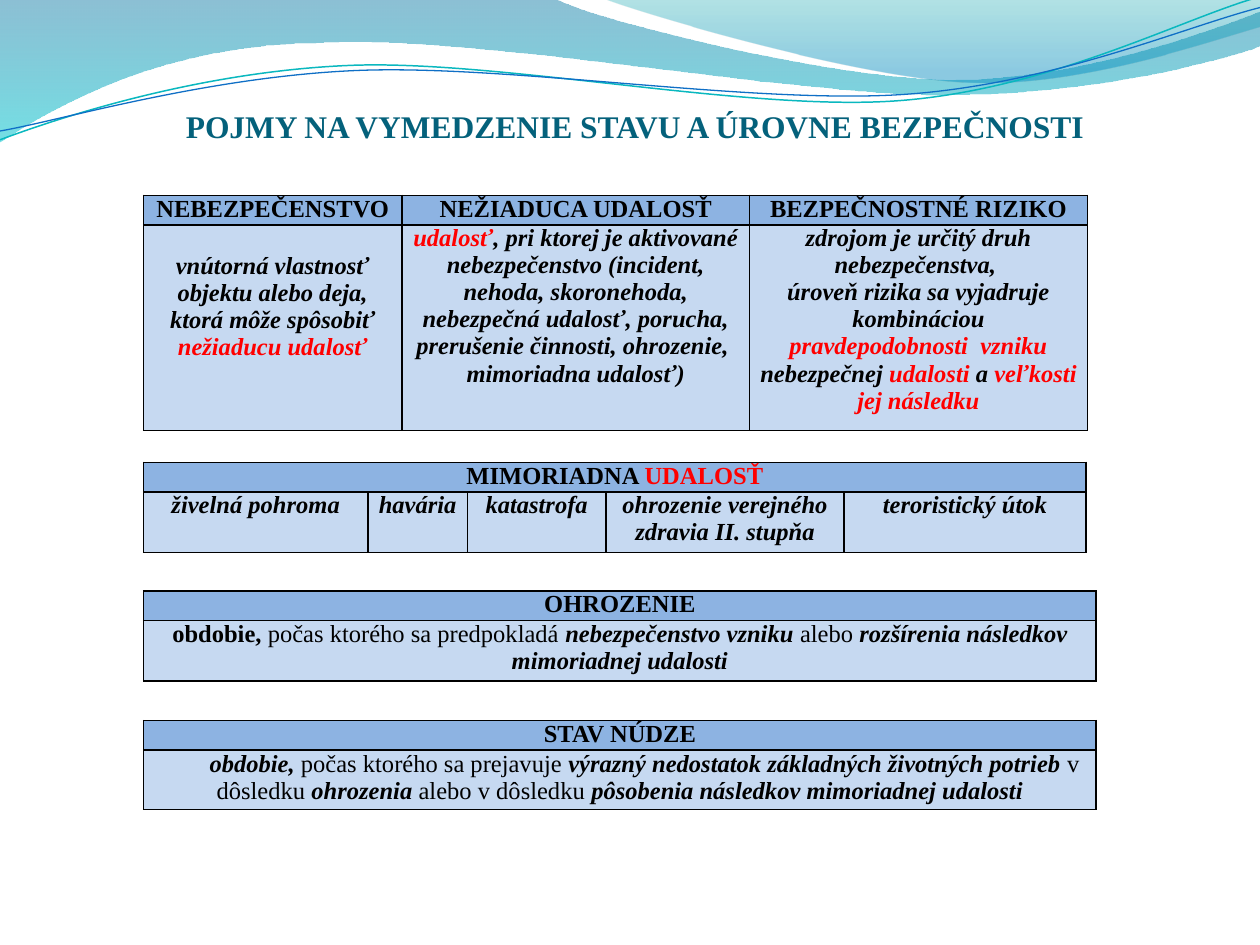
from lxml import etree
from pptx import Presentation
from pptx.dml.color import RGBColor
from pptx.enum.text import MSO_ANCHOR, PP_ALIGN
from pptx.oxml import parse_xml
from pptx.oxml.ns import nsdecls, qn
from pptx.util import Inches, Pt

FONT = "Times New Roman"
BLACK, RED, TITLE_COLOR = "000000", "FF0000", "04617B"
HEADER_FILL, BODY_FILL = "8DB3E2", "C6D9F1"
LEFT = 1.14

TITLE = "POJMY NA VYMEDZENIE STAVU A ÚROVNE BEZPEČNOSTI"

# A cell is a list of paragraphs, a paragraph a list of (text, style) runs.
# Style letters: b = bold, i = italic, r = red.
TABLES = [
    dict(top=1.55, cols=[2.05, 2.76, 2.68], heights=(0.23, 1.25), margin=0.07,
         first_cell_top=0.22,
         header=[[[("NEBEZPEČENSTVO", "b")]],
                 [[("NEŽIADUCA UDALOSŤ", "b")]],
                 [[("BEZPEČNOSTNÉ RIZIKO", "b")]]],
         body=[[[("vnútorná vlastnosť objektu alebo deja,", "bi")],
                [("ktorá môže spôsobiť", "bi")],
                [("nežiaducu udalosť", "bir")]],
               [[("udalosť", "bir"), (", pri ktorej je aktivované ", "bi")],
                [("nebezpečenstvo (incident, nehoda, skoronehoda, nebezpečná "
                  "udalosť, porucha, prerušenie činnosti, ohrozenie,  "
                  "mimoriadna udalosť)", "bi")]],
               [[("zdrojom je určitý druh nebezpečenstva, ", "bi")],
                [("úroveň rizika sa vyjadruje kombináciou", "bi")],
                [("pravdepodobnosti  vzniku ", "bir"), ("nebezpečnej ", "bi"),
                 ("udalosti ", "bir"), ("a ", "bi"),
                 ("veľkosti jej následku", "bir")]]]),
    dict(top=3.67, cols=[1.78, 0.79, 1.1, 1.89, 1.92], heights=(0.08, 0.48),
         margin=0.07,
         header=[[[("MIMORIADNA ", "b"), ("UDALOSŤ", "br")]]],
         body=[[[(event, "bi")]] for event in (
             "živelná pohroma", "havária", "katastrofa",
             "ohrozenie verejného zdravia II. stupňa", "teroristický útok")]),
    dict(top=4.69, cols=[7.56], heights=(0.23, 0.48), margin=0.08,
         header=[[[("OHROZENIE", "b")]]],
         body=[[[("obdobie,", "b"), (" počas ktorého sa predpokladá ", ""),
                 ("nebezpečenstvo vzniku", "bi"), (" alebo ", ""),
                 ("rozšírenia následkov mimoriadnej udalosti", "bi")]]]),
    dict(top=5.72, cols=[7.56], heights=(0.23, 0.47), margin=0.08, indent=0.39,
         header=[[[("STAV NÚDZE", "b")]]],
         body=[[[("obdobie, ", "bi"), ("počas ktorého sa prejavuje ", ""),
                 ("výrazný nedostatok základných životných potrieb", "bi"),
                 (" v dôsledku ", ""), ("ohrozenia ", "bi"),
                 ("alebo v dôsledku ", ""),
                 ("pôsobenia následkov mimoriadnej udalosti", "bi")]]]),
]

# Outlines: a pair is a line end, six numbers are a Bézier curve.
# Gradient stops: (position %, colour, opacity %).
BANDS = [
    ([(0, -0.01), (4.4, -0.01), (4.76, 0.17, 6.64, 0.63, 7.58, 0.63),
      (8.53, 0.63, 9.58, 0.26, 10, 0.09), (10.01, 0.36),
      (9.83, 0.44, 8.7, 0.76, 7.46, 0.75), (6.22, 0.75, 3.82, 0.28, 2.57, 0.34),
      (1.29, 0.35, 0.46, 0.83, -0.01, 1.13), (0, -0.01)],
     [(0, "0074A1", 45), (100, "00C6CF", 55)]),
    ([(4.79, -0.01), (5.09, 0.11, 6.82, 0.62, 7.69, 0.65),
      (8.56, 0.69, 9.61, 0.32, 10, 0.21), (10, 0), (4.79, -0.01)],
     [(0, "00A1A9", 30), (80, "008BBF", 45)]),
]
WAVES = [
    ([(0, 1.11), (0.48, 0.93, 1.58, 0.57, 2.77, 0.52),
      (3.95, 0.47, 5.93, 0.89, 7.13, 0.8), (8.33, 0.71, 9.38, 0.15, 9.98, -0.02)],
     "0AB8BF", 0.85),
    ([(0, 1.04), (0.47, 0.96, 1.64, 0.61, 2.83, 0.56),
      (4.03, 0.51, 5.97, 0.83, 7.17, 0.75), (8.36, 0.67, 9.41, 0.21, 10, 0.06)],
     "0F6FC6", 0.75),
]


def rgb(color):
    return RGBColor.from_string(color)


def add_outline(slide, outline, close):
    """Draw an outline, joining each curve's three segments into one Bézier."""
    points = [(Inches(step[n]), Inches(step[n + 1]))
              for step in outline for n in range(0, len(step), 2)]
    builder = slide.shapes.build_freeform(*points[0])
    builder.add_line_segments(points[1:], close=close)
    shape = builder.convert_to_shape()
    segments = iter(list(shape.element.iter(qn("a:lnTo"))))
    for step in outline[1:]:
        segment = next(segments)
        if len(step) == 6:
            curve = etree.Element(qn("a:cubicBezTo"))
            segment.addprevious(curve)
            for part in (segment, next(segments), next(segments)):
                curve.append(part[0])
                part.getparent().remove(part)
    shape.shadow.inherit = False
    shape.fill.background()
    shape.line.fill.background()
    return shape


def fill_gradient(shape, stops):
    """Fill from top to bottom with partly transparent colours."""
    stop_xml = "".join(
        f'<a:gs pos="{position * 1000}"><a:srgbClr val="{color}">'
        f'<a:alpha val="{opacity * 1000}"/></a:srgbClr></a:gs>'
        for position, color, opacity in stops)
    gradient = parse_xml(f'<a:gradFill {nsdecls("a")}><a:gsLst>{stop_xml}</a:gsLst>'
                         '<a:lin ang="5400000" scaled="0"/></a:gradFill>')
    properties = shape.element.spPr
    properties.replace(properties.find(qn("a:noFill")), gradient)


def add_borders(cell):
    properties = cell._tc.get_or_add_tcPr()
    for side in ("lnL", "lnR", "lnT", "lnB"):
        line = etree.SubElement(properties, qn(f"a:{side}"), w=str(Pt(1)))
        fill = etree.SubElement(line, qn("a:solidFill"))
        etree.SubElement(fill, qn("a:srgbClr"), val=BLACK)


def write_cell(cell, paragraphs, margin, indent=0):
    cell.margin_left = cell.margin_right = Inches(margin)
    cell.margin_top = cell.margin_bottom = 0
    for n, runs in enumerate(paragraphs):
        frame = cell.text_frame
        paragraph = frame.add_paragraph() if n else frame.paragraphs[0]
        paragraph.alignment = PP_ALIGN.CENTER
        if indent:
            paragraph._p.get_or_add_pPr().set("indent", str(Inches(indent)))
        paragraph.font.name, paragraph.font.size = FONT, Pt(14)
        for text, style in runs:
            run = paragraph.add_run()
            run.text = text
            run.font.bold, run.font.italic = "b" in style, "i" in style
            run.font.color.rgb = rgb(RED if "r" in style else BLACK)


def add_terms(slide, top, cols, heights, margin, header, body,
              first_cell_top=0, indent=0):
    table = slide.shapes.add_table(
        2, len(cols), Inches(LEFT), Inches(top),
        Inches(sum(cols)), Inches(sum(heights))).table
    table.first_row = table.horz_banding = False
    for column, width in zip(table.columns, cols):
        column.width = Inches(width)
    for r, (height, fill) in enumerate(zip(heights, (HEADER_FILL, BODY_FILL))):
        table.rows[r].height = Inches(height)
        for c in range(len(cols)):
            cell = table.cell(r, c)
            cell.margin_top = cell.margin_bottom = 0
            add_borders(cell)
            cell.fill.solid()
            cell.fill.fore_color.rgb = rgb(fill)
    if len(header) < len(cols):
        table.cell(0, 0).merge(table.cell(0, len(cols) - 1))
    for c, paragraphs in enumerate(header):
        write_cell(table.cell(0, c), paragraphs, margin)
    for c, paragraphs in enumerate(body):
        write_cell(table.cell(1, c), paragraphs, margin, indent)
    table.cell(1, 0).margin_top = Inches(first_cell_top)


def add_title(slide):
    frame = slide.shapes.add_textbox(
        Inches(0.5), Inches(0.77), Inches(9.08), Inches(0.38)).text_frame
    frame.word_wrap = True
    frame.vertical_anchor = MSO_ANCHOR.BOTTOM
    frame.margin_left = frame.margin_right = frame.margin_bottom = 0
    paragraph = frame.paragraphs[0]
    paragraph.text = TITLE
    paragraph.alignment = PP_ALIGN.CENTER
    font = paragraph.font
    font.name, font.size, font.bold = FONT, Pt(18), True
    font.color.rgb = rgb(TITLE_COLOR)


def main():
    deck = Presentation()
    deck.slide_width, deck.slide_height = Inches(10), Inches(7.5)
    slide = deck.slides.add_slide(deck.slide_layouts[6])
    for outline, stops in BANDS:
        fill_gradient(add_outline(slide, outline, close=True), stops)
    for outline, color, width in WAVES:
        wave = add_outline(slide, outline, close=False)
        wave.line.color.rgb = rgb(color)
        wave.line.width = Pt(width)
    add_title(slide)
    for terms in TABLES:
        add_terms(slide, **terms)
    deck.save("out.pptx")


if __name__ == "__main__":
    main()
